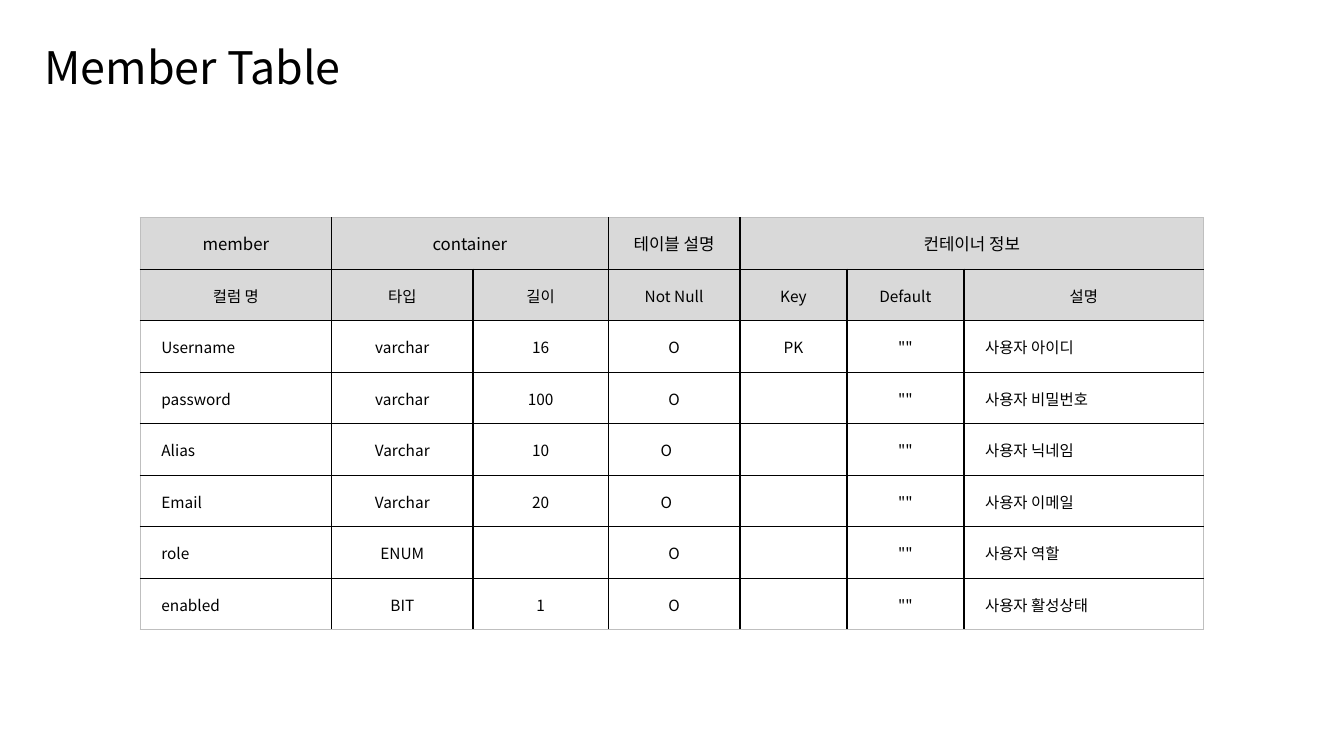
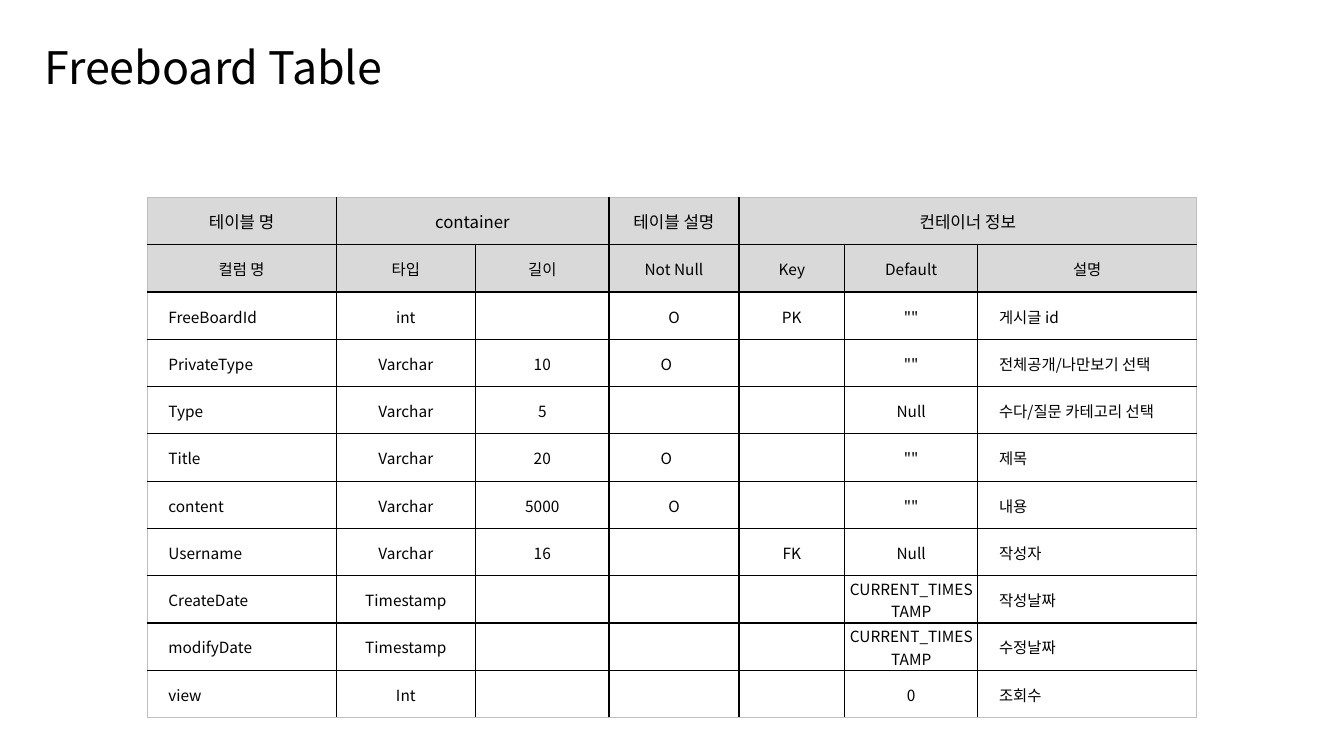
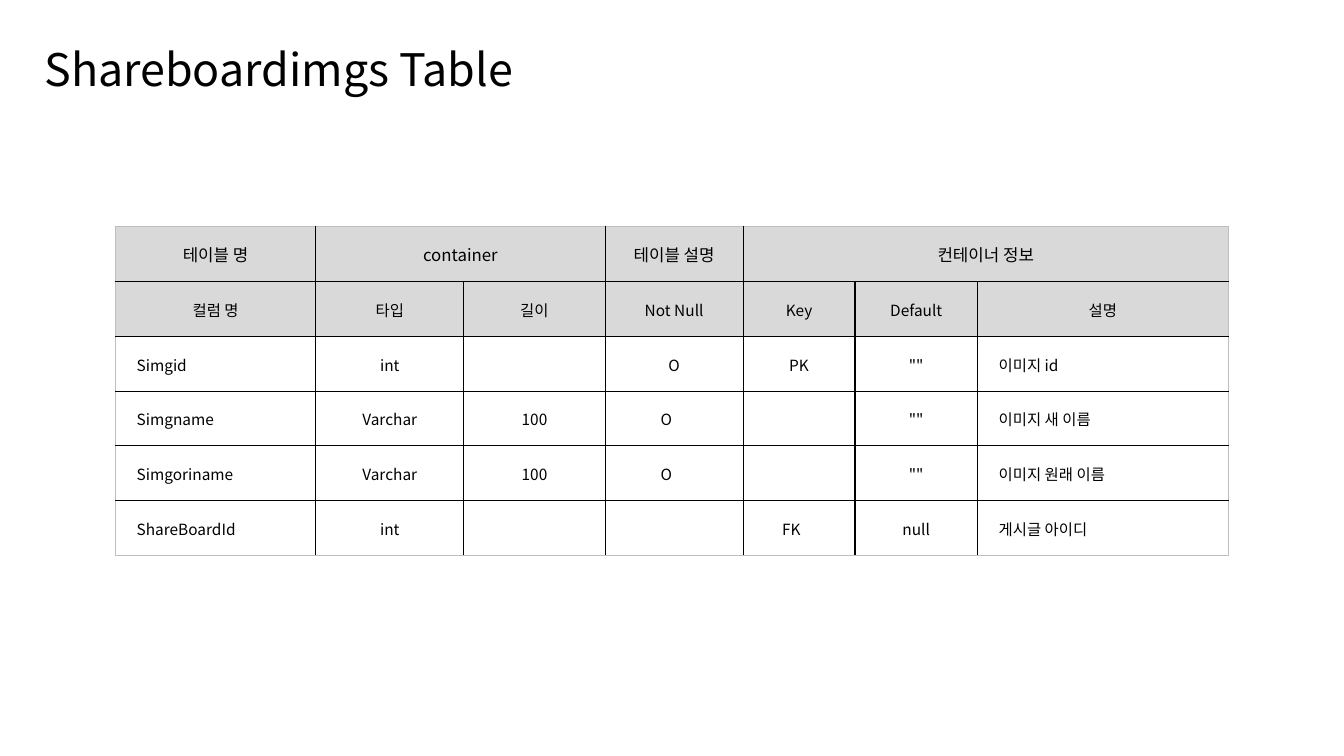
import pptx
import pptx.dml.color
import pptx.enum.text
import pptx.oxml
import pptx.oxml.ns
import pptx.util
from dataclasses import dataclass

Inches, Pt = pptx.util.Inches, pptx.util.Pt
RGB = pptx.dml.color.RGBColor.from_string
ALIGN = pptx.enum.text.PP_ALIGN
MIDDLE = pptx.enum.text.MSO_ANCHOR.MIDDLE


@dataclass(frozen=True)
class Theme:
    font: str = "Noto Sans CJK KR"
    ink: str = "000000"
    header_fill: str = "D9D9D9"
    outer_line: str = "BFBFBF"
    line_width: float = 1
    title_size: float = 32
    group_size: float = 12
    body_size: float = 11
    text_indent: float = 0.2


THEME = Theme()
SLIDE_W, SLIDE_H = 13.33, 7.5
TITLE_LEFT, TITLE_W = 0.34, 11.5

# Headings shared by the tables
GROUPS = [(0, 1), (1, 2), (3, 1), (4, 3)]  # first column, columns spanned
GROUP_NAMES = ["container", "테이블 설명", "컨테이너 정보"]
COLUMNS = ["컬럼 명", "타입", "길이", "Not Null", "Key", "Default", "설명"]
LEFT_ALIGNED = (0, 6)

# Column widths as percent of the table; Default varies, the last takes the rest
FIXED_SHARES = [18, 13.3, 12.7, 12.4, 10.05]

# Content: title box is (top, height), table box is (top, width, height)
TABLES = [
    dict(
        title="Member Table", title_box=(0.22, 0.94),
        name="member", box=(2.16, 10.55, 4.09), default_share=11,
        rows=[
            ("Username", "varchar", "16", "O", "PK", '""', "사용자 아이디"),
            ("password", "varchar", "100", "O", "", '""', "사용자 비밀번호"),
            ("Alias", "Varchar", "10", "O　", "", '""', "사용자 닉네임"),
            ("Email", "Varchar", "20", "O　", "", '""', "사용자 이메일"),
            ("role", "ENUM", "", "O", "", '""', "사용자 역할"),
            ("enabled", "BIT", "1", "O", "", '""', "사용자 활성상태"),
        ],
    ),
    dict(
        title="Freeboard Table", title_box=(0.27, 0.84),
        name="테이블 명", box=(1.96, 10.41, 5.16), default_share=12.7,
        rows=[
            ("FreeBoardId", "int", "", "O", "PK", '""', "게시글 id"),
            ("PrivateType", "Varchar", "10", "O　", "", '""', "전체공개/나만보기 선택"),
            ("Type", "Varchar", "5", "", "", "Null", "수다/질문 카테고리 선택"),
            ("Title", "Varchar", "20", "O　", "", '""', "제목"),
            ("content", "Varchar", "5000", "O", "", '""', "내용"),
            ("Username", "Varchar", "16", "", "FK", "Null", "작성자"),
            ("CreateDate", "Timestamp", "", "", "", "CURRENT_TIMESTAMP", "작성날짜"),
            ("modifyDate", "Timestamp", "", "", "", "CURRENT_TIMESTAMP", "수정날짜"),
            ("view", "Int", "", "", "", "0", "조회수"),
        ],
    ),
    dict(
        title="Shareboardimgs Table", title_box=(0.32, 0.78),
        name="테이블 명", box=(2.25, 11.04, 3.26), default_share=11,
        rows=[
            ("Simgid", "int", "", "O", "PK", '""', "이미지 id"),
            ("Simgname", "Varchar", "100", "O　", "", '""', "이미지 새 이름"),
            ("Simgoriname", "Varchar", "100", "O　", "", '""', "이미지 원래 이름"),
            ("ShareBoardId", "int", "", "", "FK　", "null", "게시글 아이디"),
        ],
    ),
]


def add_run(p, text, size):
    r = p.add_run()
    r.text = text
    r.font.size = Pt(size)
    r.font.name = THEME.font
    r.font.color.rgb = RGB(THEME.ink)
    ea = pptx.oxml.parse_xml(
        f'<a:ea {pptx.oxml.ns.nsdecls("a")} typeface="{THEME.font}"/>')
    r.font._element.append(ea)


def add_title(s, text, top, height):
    sp = s.shapes.title
    sp.left, sp.top = Inches(TITLE_LEFT), Inches(top)
    sp.width, sp.height = Inches(TITLE_W), Inches(height)
    tf = sp.text_frame
    tf.auto_size = pptx.enum.text.MSO_AUTO_SIZE.NONE
    tf.word_wrap = True
    tf.vertical_anchor = MIDDLE
    p = tf.paragraphs[0]
    p.alignment = ALIGN.LEFT
    p.line_spacing = 0.9
    add_run(p, text, THEME.title_size)


def set_borders(cell, outer_sides):
    """Black lines inside the table, grey ones around it."""
    tcPr = cell._tc.get_or_add_tcPr()
    for side in "LRTB":
        color = THEME.outer_line if side in outer_sides else THEME.ink
        tcPr.append(pptx.oxml.parse_xml(
            f'<a:ln{side} {pptx.oxml.ns.nsdecls("a")} w="{Pt(THEME.line_width)}">'
            f'<a:solidFill><a:srgbClr val="{color}"/></a:solidFill></a:ln{side}>'))


def fill_cell(cell, text, row, col):
    cell.vertical_anchor = MIDDLE
    if row > 0:
        cell.margin_left = cell.margin_right = cell.margin_top = Inches(0.01)
        cell.margin_bottom = 0
    if row < 2:
        cell.fill.solid()
        cell.fill.fore_color.rgb = RGB(THEME.header_fill)
    else:
        cell.fill.background()
    p = cell.text_frame.paragraphs[0]
    if row >= 2 and col in LEFT_ALIGNED:
        p.alignment = ALIGN.LEFT
        p._p.get_or_add_pPr().set("marL", str(Inches(THEME.text_indent)))
    else:
        p.alignment = ALIGN.CENTER
    if text:
        add_run(p, text, THEME.body_size if row else THEME.group_size)


def add_schema_table(s, name, box, default_share, rows):
    top, width, height = box
    n_rows, n_cols = len(rows) + 2, len(COLUMNS)
    table = s.shapes.add_table(
        n_rows, n_cols, Inches((SLIDE_W - width) / 2), Inches(top),
        Inches(width), Inches(height)).table
    table.first_row = table.horz_banding = False

    # Grid
    shares = FIXED_SHARES + [default_share]
    shares.append(100 - sum(shares))
    for column, share in zip(table.columns, shares):
        column.width = Inches(width * share / 100)
    for row in table.rows:
        row.height = Inches(height / n_rows)

    # Group headings span their columns
    group_row = [""] * n_cols
    for (first, span), text in zip(GROUPS, [name] + GROUP_NAMES):
        group_row[first] = text
        if span > 1:
            table.cell(0, first).merge(table.cell(0, first + span - 1))

    # Cells
    for i, values in enumerate([group_row, COLUMNS] + rows):
        for j, text in enumerate(values):
            cell = table.cell(i, j)
            span = cell.span_width if cell.is_merge_origin else 1
            edges = {"L": j == 0, "R": j + span == n_cols,
                     "T": i == 0, "B": i == n_rows - 1}
            set_borders(cell, [side for side, outer in edges.items() if outer])
            fill_cell(cell, text, i, j)


def main():
    prs = pptx.Presentation()
    prs.slide_width, prs.slide_height = Inches(SLIDE_W), Inches(SLIDE_H)
    title_only = prs.slide_layouts[5]
    for t in TABLES:
        s = prs.slides.add_slide(title_only)
        add_title(s, t["title"], *t["title_box"])
        add_schema_table(s, t["name"], t["box"], t["default_share"], t["rows"])
    prs.save("out.pptx")


if __name__ == "__main__":
    main()
